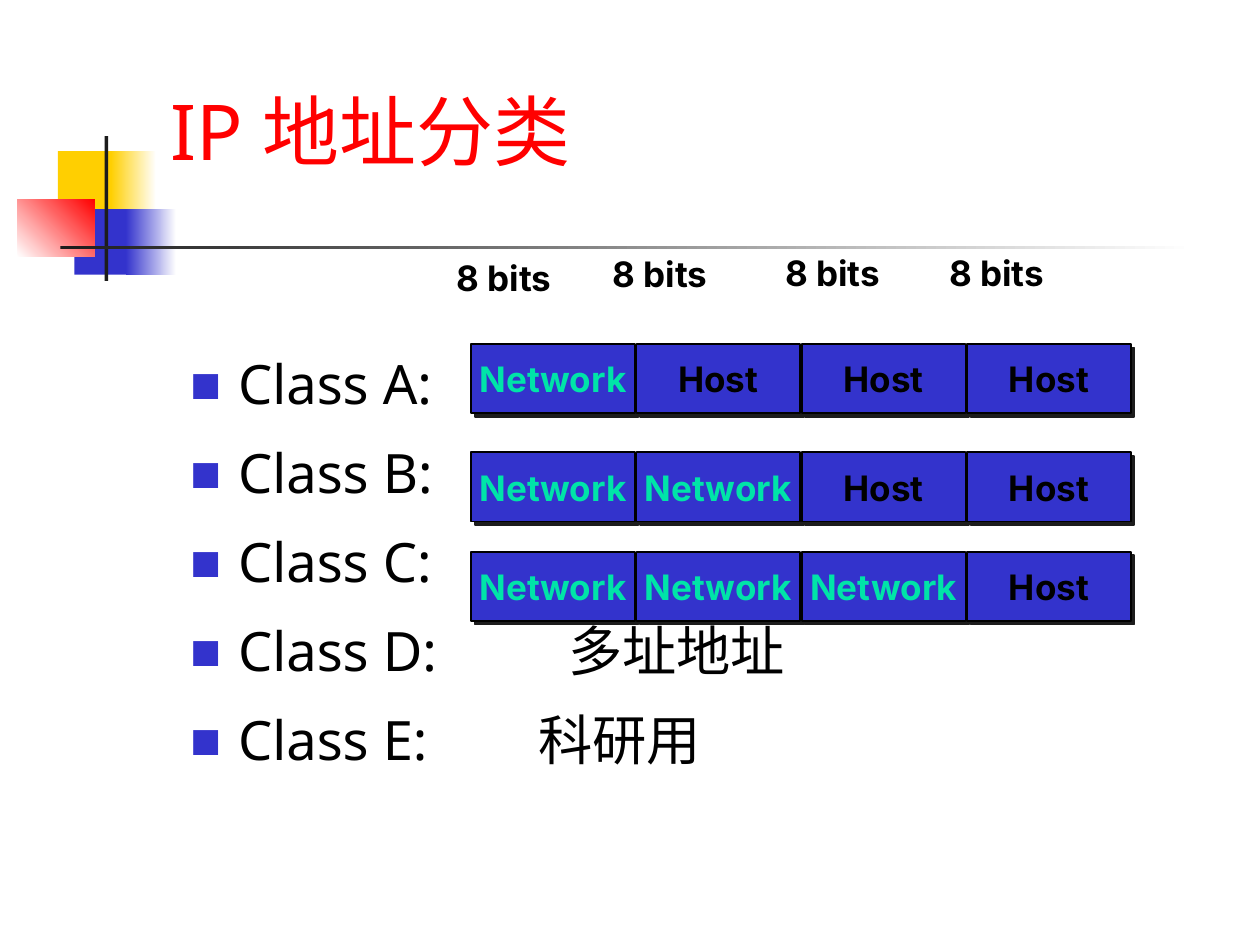
import dataclasses
import pptx
import pptx.util
import pptx.dml.color
import pptx.enum.shapes
import pptx.enum.text
import pptx.oxml
import pptx.oxml.ns

COLS, ROWS = 100, 75
RECT = pptx.enum.shapes.MSO_SHAPE.RECTANGLE
ALIGN = pptx.enum.text.PP_ALIGN
MIDDLE = pptx.enum.text.MSO_ANCHOR.MIDDLE
TOP = pptx.enum.text.MSO_ANCHOR.TOP
NS = pptx.oxml.ns.nsdecls("a")


@dataclasses.dataclass(frozen=True)
class Theme:
    white: str = "FFFFFF"
    black: str = "000000"
    dark: str = "1C1C1C"
    blue: str = "3333CC"
    red: str = "FF0000"
    gold: str = "FFCF01"
    green: str = "00E4A8"
    sans: str = "Noto Sans"
    label: str = "Inter"
    head: float = 44
    body: float = 31
    small: float = 20


THEME = Theme()


def color(code):
    return pptx.dml.color.RGBColor.from_string(code)


def grid(x, y, w, h):
    unit = pptx.util.Inches(10) / COLS
    return [pptx.util.Emu(round(v * unit)) for v in (x, y, w, h)]


def write(frame, text, size=THEME.small, font=THEME.label, ink=THEME.black,
          bold=False, align=ALIGN.CENTER, anchor=MIDDLE, wrap=False, pad=(0, 0)):
    frame.word_wrap = wrap
    frame.auto_size = pptx.enum.text.MSO_AUTO_SIZE.NONE
    frame.vertical_anchor = anchor
    frame.margin_left = frame.margin_right = pptx.util.Inches(pad[0])
    frame.margin_top = frame.margin_bottom = pptx.util.Inches(pad[1])
    frame.text = text
    for para in frame.paragraphs:
        para.alignment = align
        for run in para.runs:
            run.font.size = pptx.util.Pt(size)
            run.font.name = font
            run.font.bold = bold
            run.font.color.rgb = color(ink)
            for tag in ("ea", "cs"):
                run._r.get_or_add_rPr().append(
                    pptx.oxml.parse_xml(f'<a:{tag} {NS} typeface="{font}"/>'))


def shade():
    return pptx.oxml.parse_xml(
        f'<a:effectLst {NS}><a:outerShdw dist="35921" dir="2700000" algn="ctr" '
        f'rotWithShape="0"><a:srgbClr val="{THEME.dark}"/></a:outerShdw></a:effectLst>')


def block(shapes, place, start, end=None, angle=0):
    box = shapes.add_shape(RECT, *grid(*place))
    box.shadow.inherit = False
    box.line.fill.background()
    if end:
        box.fill.gradient()
        box.fill.gradient_angle = angle
        for stop, code, pos in zip(box.fill.gradient_stops, (start, end), (0, 1)):
            stop.color.rgb = color(code)
            stop.position = pos
    else:
        box.fill.solid()
        box.fill.fore_color.rgb = color(start)
    return box


def motif(shapes):
    for place, *paint in (
        ((4.6, 12, 4.8, 5.2), THEME.gold),
        ((8.8, 12, 3.6, 5.2), THEME.gold, THEME.white),
        ((5.9, 16.6, 4.6, 5.2), THEME.blue),
        ((10, 16.6, 4, 5.2), THEME.blue, THEME.white),
        ((1.4, 15.8, 6.1, 4.6), THEME.white, THEME.red, 45),
        ((8.3, 10.8, 0.3, 11.5), THEME.dark),
        ((4.8, 19.5, 90, 0.3), THEME.dark, THEME.white),
    ):
        block(shapes, place, *paint)


def title(slide, text):
    box = slide.shapes.title
    box.left, box.top, box.width, box.height = grid(12.6, 2.3, 85.2, 16)
    write(box.text_frame, text, size=THEME.head, font=THEME.sans, ink=THEME.red,
          align=ALIGN.LEFT, wrap=True, pad=(0.09, 0.04))
    props = box.text_frame.paragraphs[0].runs[0]._r.get_or_add_rPr()
    props.find(pptx.oxml.ns.qn("a:solidFill")).addnext(shade())


def bullets(shapes, items):
    box = shapes.add_textbox(*grid(14.2, 27.4, 54.9, 39.3))
    write(box.text_frame, "\n".join(text for text, stop in items), size=THEME.body,
          font=THEME.sans, align=ALIGN.LEFT, anchor=TOP, wrap=True, pad=(0.09, 0.04))
    indent = pptx.util.Inches(0.38)
    for para, (text, stop) in zip(box.text_frame.paragraphs, items):
        para.space_before = pptx.util.Pt(13.6)
        props = para._p.get_or_add_pPr()
        props.set("marL", str(indent))
        props.set("indent", str(-indent))
        marks = [f'<a:buClr {NS}><a:srgbClr val="{THEME.blue}"/></a:buClr>',
                 f'<a:buSzPct {NS} val="60000"/>',
                 f'<a:buFont {NS} typeface="{THEME.sans}"/>',
                 f'<a:buChar {NS} char="■"/>']
        if stop:
            pos = pptx.util.Inches(stop)
            marks.append(f'<a:tabLst {NS}><a:tab pos="{pos}" algn="l"/></a:tabLst>')
        for mark in marks:
            props.append(pptx.oxml.parse_xml(mark))


def octets(shapes, top, nets):
    group = shapes.add_group_shape()
    for col in range(4):
        box = block(group.shapes, (37.4 + 13.12 * col, top, 13, 5.5), THEME.blue)
        box.line.color.rgb = color(THEME.black)
        box.line.width = pptx.util.Pt(1)
        props = box._element.spPr
        props.remove(props.find(pptx.oxml.ns.qn("a:effectLst")))
        props.append(shade())
        net = col < nets
        write(box.text_frame, "Network" if net else "Host", bold=True,
              ink=THEME.green if net else THEME.black, pad=(0.16, 0.08))


def main():
    deck = pptx.Presentation()
    deck.slide_width = pptx.util.Inches(10)
    deck.slide_height = pptx.util.Inches(7.5)
    slide = deck.slides.add_slide(deck.slide_layouts[5])
    shapes = slide.shapes
    motif(shapes)
    title(slide, "IP 地址分类")
    bullets(shapes, [("Class A:", None), ("Class B:", None), ("Class C:", None),
                     ("Class D:\t多址地址", 3), ("Class E:\t科研用", 2.76)])
    for nets, top in enumerate((27.3, 35.9, 43.8), 1):
        octets(shapes, top, nets)
    for mid, top in ((40, 19.6), (52.4, 19.3), (66.1, 19.2), (79.1, 19.2)):
        box = shapes.add_textbox(*grid(mid - 4, top, 8, 4.8))
        write(box.text_frame, "8 bits", bold=True)
    deck.save("out.pptx")


main()
